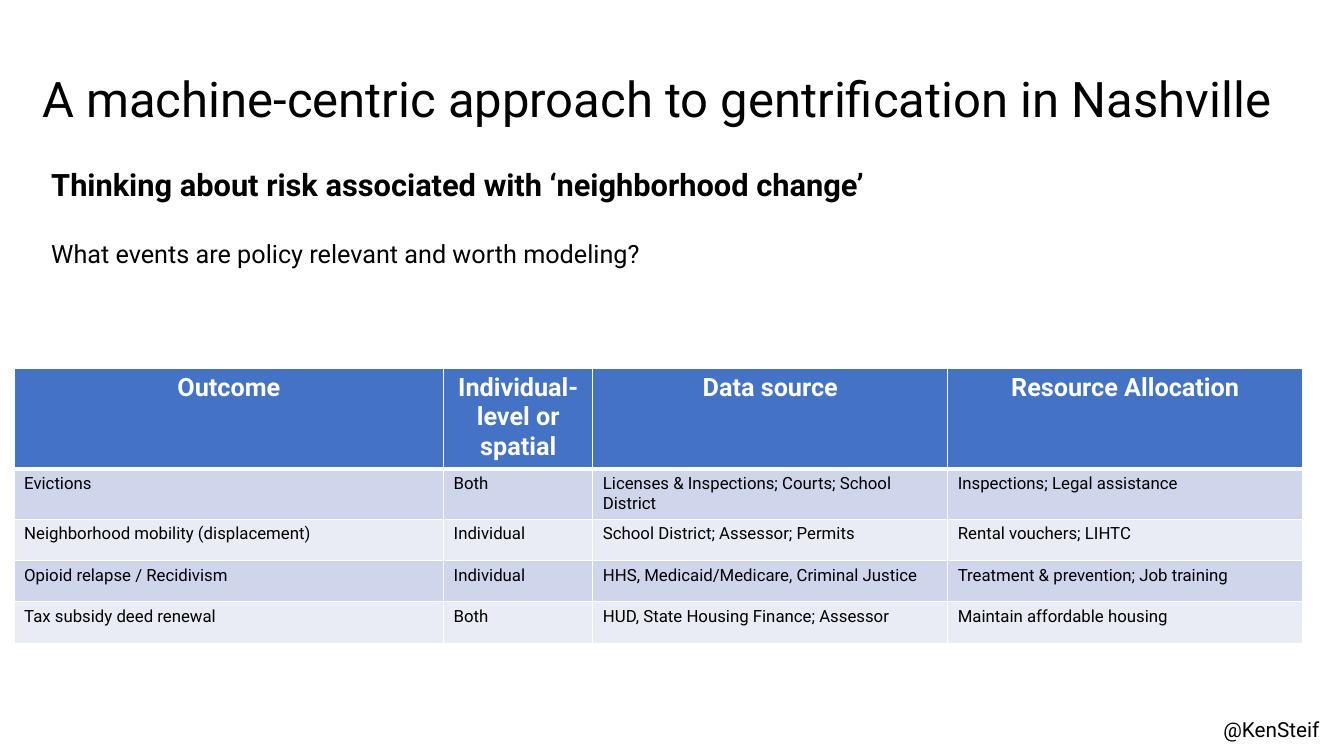
from dataclasses import dataclass

from lxml.etree import SubElement
from pptx import Presentation
from pptx.dml.color import RGBColor
from pptx.enum.text import MSO_ANCHOR, PP_ALIGN
from pptx.oxml.ns import qn
from pptx.util import Pt

PX = 9144


@dataclass(frozen=True)
class Theme:
    font: str = "Roboto"
    ink: str = "000000"
    white: str = "FFFFFF"
    header: str = "4472C4"
    bands: tuple = ("CFD5EA", "E9EBF5")
    title: float = 35
    lead: float = 22
    body: float = 18
    cell: float = 12
    handle: float = 14.8
    thin: int = 1
    thick: int = 3


class Deck:
    def __init__(self, theme, width, height):
        self.theme = theme
        self.prs = Presentation()
        self.prs.slide_width, self.prs.slide_height = width * PX, height * PX
        self.s = self.prs.slides.add_slide(self.prs.slide_layouts[6])

    def run(self, p, text, size, color=None, bold=False, **fmt):
        r = p.add_run()
        r.text = text
        font = {"name": self.theme.font, "size": Pt(size), "bold": bold}
        for target, values in ((r.font, font), (p, fmt)):
            for key, value in values.items():
                setattr(target, key, value)
        r.font.color.rgb = RGBColor.from_string(color or self.theme.ink)

    def text(self, box, paragraphs, anchor=MSO_ANCHOR.TOP):
        tf = self.s.shapes.add_textbox(*(v * PX for v in box)).text_frame
        tf.word_wrap = True
        tf.vertical_anchor = anchor
        for i, fmt in enumerate(paragraphs):
            p = tf.add_paragraph() if i else tf.paragraphs[0]
            self.run(p, **fmt)

    def border(self, cell, sides):
        tcPr = cell._tc.get_or_add_tcPr()
        for i, (side, width) in enumerate(sides.items()):
            ln = SubElement(tcPr, qn(f"a:ln{side}"), w=str(Pt(width)))
            fill = SubElement(ln, qn("a:solidFill"))
            SubElement(fill, qn("a:srgbClr"), val=self.theme.white)
            tcPr.insert(i, ln)

    def table(self, left, top, widths, heights, rows):
        t = self.theme
        box = (left, top, sum(widths), sum(heights))
        shape = self.s.shapes.add_table(len(rows), len(widths), *(v * PX for v in box))
        tbl = shape.table
        for col, width in zip(tbl.columns, widths):
            col.width = width * PX
        for row, height in zip(tbl.rows, heights):
            row.height = height * PX
        for i, row in enumerate(rows):
            head = i == 0
            fill = t.header if head else t.bands[(i - 1) % 2]
            fmt = {"size": t.cell}
            if head:
                fmt = {"size": t.body, "color": t.white, "bold": True,
                       "alignment": PP_ALIGN.CENTER}
            sides = {"L": t.thin, "R": t.thin,
                     "T": t.thick if i == 1 else t.thin,
                     "B": t.thick if head else t.thin}
            for j, text in enumerate(row):
                cell = tbl.cell(i, j)
                cell.fill.solid()
                cell.fill.fore_color.rgb = RGBColor.from_string(fill)
                self.border(cell, sides)
                self.run(cell.text_frame.paragraphs[0], text, **fmt)


def main():
    t = Theme()
    deck = Deck(t, 1333, 750)
    deck.text((32, 37, 1249, 95), [
        {"text": "A machine-centric approach to gentrification in Nashville",
         "size": t.title, "line_spacing": 0.9},
    ], MSO_ANCHOR.BOTTOM)
    deck.text((1198, 703, 126, 38), [
        {"text": "@KenSteif", "size": t.handle, "line_spacing": 0.9,
         "alignment": PP_ALIGN.CENTER},
    ], MSO_ANCHOR.BOTTOM)
    deck.text((41, 159, 1292, 205), [
        {"text": "Thinking about risk associated with ‘neighborhood change’",
         "size": t.lead, "bold": True},
        {"text": "What events are policy relevant and worth modeling?",
         "size": t.body, "space_before": Pt(26)},
    ])
    deck.table(14, 365, (426, 148, 352, 352), (99, 50, 41, 41, 41), [
        ("Outcome", "Individual-level or spatial", "Data source", "Resource Allocation"),
        ("Evictions", "Both", "Licenses & Inspections; Courts; School District",
         "Inspections; Legal assistance"),
        ("Neighborhood mobility (displacement)", "Individual",
         "School District; Assessor; Permits", "Rental vouchers; LIHTC"),
        ("Opioid relapse / Recidivism", "Individual",
         "HHS, Medicaid/Medicare, Criminal Justice",
         "Treatment & prevention; Job training"),
        ("Tax subsidy deed renewal", "Both", "HUD, State Housing Finance; Assessor",
         "Maintain affordable housing"),
    ])
    deck.prs.save("out.pptx")


if __name__ == "__main__":
    main()
